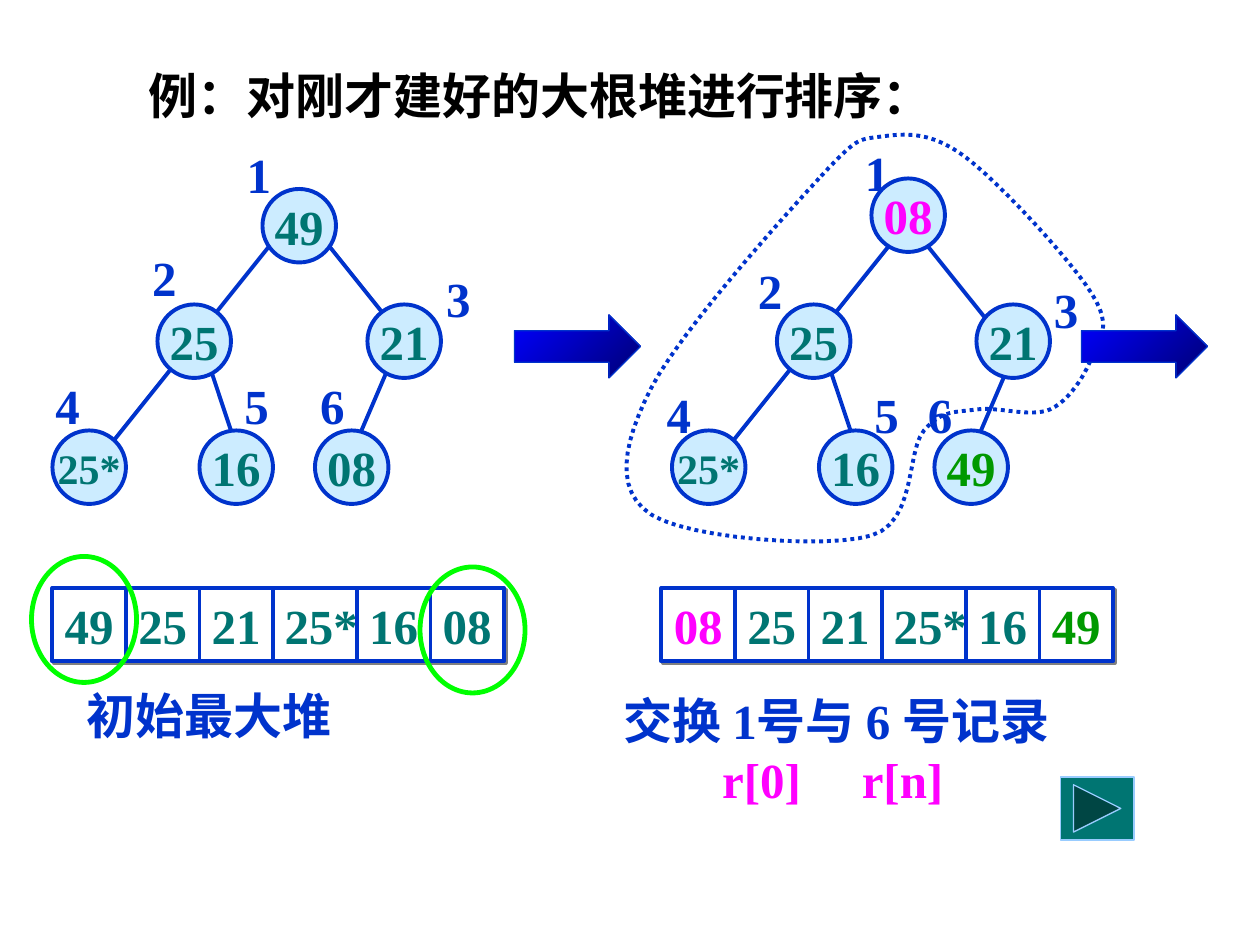
from pptx import Presentation, util as u
from pptx.dml.color import RGBColor
from pptx.enum import dml, shapes, text
from pptx.oxml import parse_xml
from pptx.oxml.ns import nsdecls, qn

PX = 7620
COLORS = {"black": "000000", "white": "FFFFFF", "blue": "0033CC", "pale": "CCECFF",
          "teal": "007572", "pink": "FF00FF", "green": "009900", "lime": "00FF00",
          "sky": "99CCFF", "bright": "0000FF", "navy": "000076", "gray": "808080"}
SHAPE = shapes.MSO_SHAPE
NODE = 70
CELL_EDGES = (70, 140, 210, 290, 360)
CELL_TABS = (35, 105, 175, 256, 325, 395)


def rgb(name):
    return RGBColor.from_string(COLORS[name])


class Deck:
    font = "Times New Roman"
    size = 28
    line_width = 2.25

    def __init__(self, prs):
        self.slide = prs.slides.add_slide(prs.slide_layouts[6])
        self.shapes = self.slide.shapes

    def outline(self, line, color, width):
        line.color.rgb = rgb(color)
        line.width = u.Pt(width)

    def add_text(self, tf, paragraphs, size=None, font=None, align="l", tabs=(), wrap=False):
        tf.word_wrap = wrap
        for i, runs in enumerate(paragraphs):
            p = tf.paragraphs[0] if i == 0 else tf.add_paragraph()
            p.alignment = text.PP_ALIGN.CENTER if align == "ctr" else text.PP_ALIGN.LEFT
            if tabs:
                stops = "".join(f'<a:tab pos="{x * PX}" algn="{align_tab}"/>' for x, align_tab in tabs)
                p._p.get_or_add_pPr().append(
                    parse_xml(f'<a:tabLst {nsdecls("a")}>{stops}</a:tabLst>'))
            for words, color in runs:
                r = p.add_run()
                r.text = words
                r.font.name = font or self.font
                r.font.size = u.Pt(size or self.size)
                r.font.bold = True
                r.font.color.rgb = rgb(color)

    def label(self, x, y, w, h, paragraphs, middle=False, **style):
        tf = self.shapes.add_textbox(x * PX, y * PX, w * PX, h * PX).text_frame
        if middle:
            tf.vertical_anchor = text.MSO_ANCHOR.MIDDLE
        self.add_text(tf, paragraphs, **style)

    def shape(self, kind, x, y, w, h, fill=None, line="blue", width=line_width):
        sp = self.shapes.add_shape(kind, x * PX, y * PX, w * PX, h * PX)
        sp.shadow.inherit = False
        if fill:
            sp.fill.solid()
            sp.fill.fore_color.rgb = rgb(fill)
        else:
            sp.fill.background()
        self.outline(sp.line, line, width)
        return sp

    def line(self, x1, y1, x2, y2):
        c = self.shapes.add_connector(shapes.MSO_CONNECTOR.STRAIGHT,
                                      x1 * PX, y1 * PX, x2 * PX, y2 * PX)
        self.outline(c.line, "blue", self.line_width)
        c._element.spPr.append(parse_xml(f'<a:effectLst {nsdecls("a")}/>'))

    def node(self, x, y, value, color="teal"):
        sp = self.shape(SHAPE.OVAL, x, y, NODE, NODE, "pale")
        sp.text_frame.vertical_anchor = text.MSO_ANCHOR.MIDDLE
        self.add_text(sp.text_frame, [[(value, color)]],
                      size=24 if len(value) > 2 else None, align="ctr")

    def tree(self, edges, nodes, labels):
        for edge in edges:
            self.line(*edge)
        for i, (x, y) in enumerate(labels, 1):
            self.label(x, y, 47, 68, [[(str(i), "blue")]])
        for node in nodes:
            self.node(*node)

    def array(self, x, y, cells):
        sp = self.shape(SHAPE.RECTANGLE, x, y, 430, NODE, "white")
        sp._element.spPr.find(qn("a:effectLst")).append(parse_xml(
            f'<a:outerShdw {nsdecls("a")} dist="{u.Pt(1.4)}" dir="2700000" algn="ctr">'
            f'<a:srgbClr val="{COLORS["gray"]}"/></a:outerShdw>'))
        tf = sp.text_frame
        tf.margin_left = tf.margin_right = 0
        tf.vertical_anchor = text.MSO_ANCHOR.MIDDLE
        self.add_text(tf, [[("\t" + value, color) for value, color in cells]],
                      tabs=[(stop, "ctr") for stop in CELL_TABS], wrap=True)
        for edge in CELL_EDGES:
            self.line(x + edge, y, x + edge, y + NODE)

    def arrow(self, x, y):
        sp = self.shape(SHAPE.RIGHT_ARROW, x, y, 120, 60, width=0.75)
        sp.fill.gradient()
        sp.fill.gradient_angle = 315
        for stop, color in zip(sp.fill.gradient_stops, ("bright", "navy")):
            stop.color.rgb = rgb(color)

    def loop(self, start, curves, steps=12):
        points = []
        p0 = start
        for x1, y1, x2, y2, x3, y3 in curves:
            for i in range(1, steps + 1):
                t = i / steps
                s = 1 - t
                points.append(tuple(
                    round((s**3 * a + 3 * s * s * t * b + 3 * s * t * t * c + t**3 * d) * PX)
                    for a, b, c, d in zip(p0, (x1, y1), (x2, y2), (x3, y3))))
            p0 = (x3, y3)
        fb = self.shapes.build_freeform(start[0] * PX, start[1] * PX)
        fb.add_line_segments(points, close=True)
        sp = fb.convert_to_shape()
        sp.shadow.inherit = False
        sp.fill.background()
        self.outline(sp.line, "blue", self.line_width)
        sp.line.dash_style = dml.MSO_LINE.ROUND_DOT


def main():
    prs = Presentation()
    prs.slide_width, prs.slide_height = 1200 * PX, 900 * PX
    s = Deck(prs)

    s.label(130, 62, 980, 56, [[("例：对刚才建好的大根堆进行排序：", "black")]],
            middle=True, font="Arial", wrap=True)
    s.arrow(490, 300)

    s.array(630, 560, [("08", "pink"), ("25", "teal"), ("21", "teal"),
                       ("25*", "teal"), ("16", "teal"), ("49", "green")])
    s.label(582, 652, 509, 125,
            [[("交换 1号与 6 号记录", "blue")], [("\tr[0]\tr[n]", "pink")]],
            tabs=[(94, "l"), (227, "l")], wrap=True)

    s.tree(edges=[(370, 350, 340, 420), (200, 350, 220, 410),
                  (310, 230, 390, 330), (260, 230, 100, 430)],
           nodes=[(250, 180, "49"), (150, 290, "25"), (50, 410, "25*"),
                  (350, 290, "21"), (190, 410, "16"), (300, 410, "08")],
           labels=[(223, 132), (133, 230), (413, 250), (41, 352), (221, 352), (293, 352)])
    s.array(50, 560, [(v, "teal") for v in ("49", "25", "21", "25*", "16", "08")])
    s.label(71, 647, 257, 68, [[("初始最大堆", "blue")]])

    s.tree(edges=[(960, 350, 930, 420), (880, 230, 960, 330),
                  (790, 350, 810, 410), (850, 230, 690, 430)],
           nodes=[(740, 290, "25"), (640, 410, "25*"), (780, 410, "16"),
                  (930, 290, "21"), (830, 170, "08", "pink"), (890, 410, "49", "green")],
           labels=[(812, 130), (710, 242), (992, 260), (623, 360), (821, 360), (872, 360)])
    s.loop((780, 170), [
        (743, 210, 647, 317, 620, 370), (593, 423, 585, 467, 620, 490),
        (655, 513, 787, 523, 830, 510), (873, 497, 863, 430, 880, 410),
        (897, 390, 910, 393, 930, 390), (950, 387, 982, 398, 1000, 390),
        (1018, 382, 1033, 358, 1040, 340), (1047, 322, 1060, 312, 1040, 280),
        (1020, 248, 953, 175, 920, 150), (887, 125, 863, 127, 840, 130),
        (817, 133, 817, 130, 780, 170)])

    s.arrow(1030, 300)
    s.shape(SHAPE.ACTION_BUTTON_FORWARD_OR_NEXT, 1010, 740, 70, 60, "teal", "sky", 0.75)
    for x, y in ((30, 530), (400, 540)):
        s.shape(SHAPE.OVAL, x, y, 100, 120, line="lime", width=2.75)

    prs.save("out.pptx")


if __name__ == "__main__":
    main()
